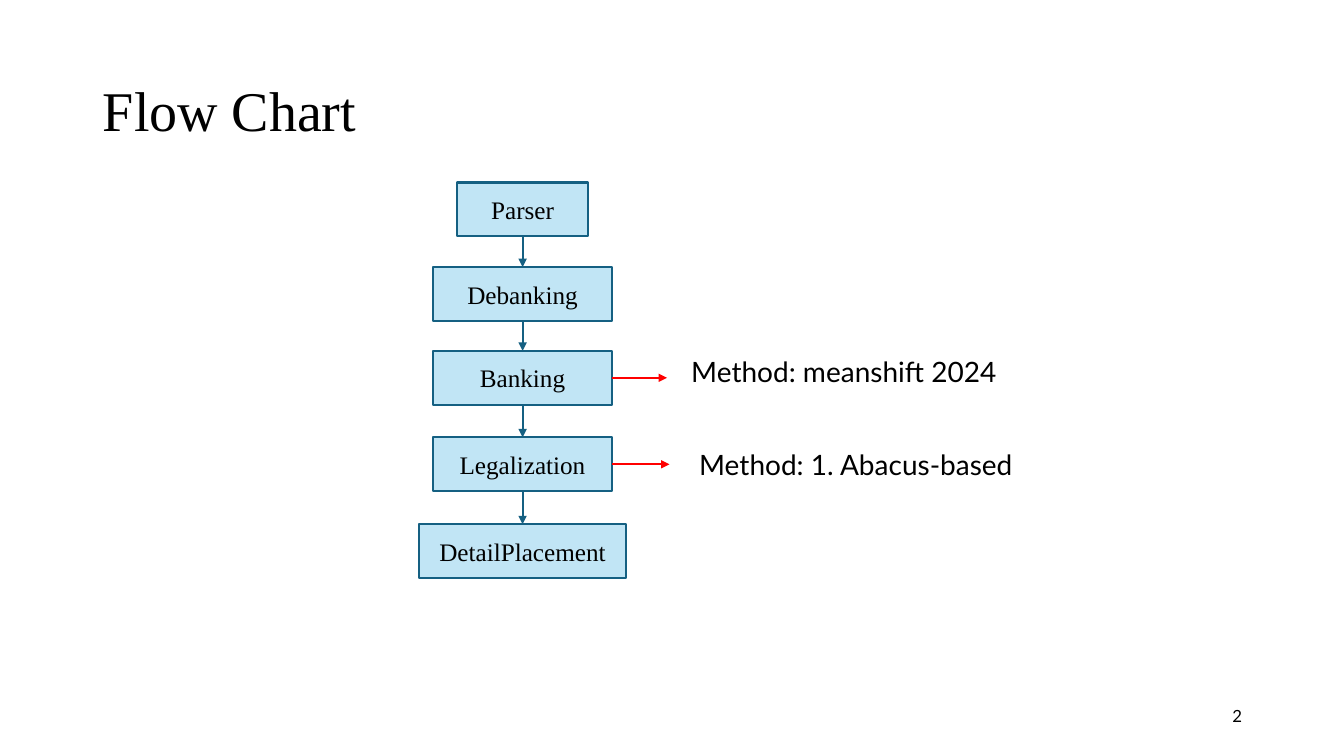
from lxml import etree
from pptx import Presentation
from pptx.dml.color import RGBColor
from pptx.enum.shapes import MSO_CONNECTOR, MSO_SHAPE
from pptx.enum.text import MSO_ANCHOR, PP_ALIGN
from pptx.oxml.ns import qn
from pptx.util import Cm, Pt

BLACK = RGBColor(0x00, 0x00, 0x00)
PALE = RGBColor(0xC1, 0xE5, 0xF5)
TEAL = RGBColor(0x15, 0x60, 0x82)
RED = RGBColor(0xFF, 0x00, 0x00)

RECT = MSO_SHAPE.RECTANGLE
LINE = MSO_CONNECTOR.STRAIGHT
LEFT, MID, RIGHT = PP_ALIGN.LEFT, PP_ALIGN.CENTER, PP_ALIGN.RIGHT
TOP, CENTER = MSO_ANCHOR.TOP, MSO_ANCHOR.MIDDLE

HEAD = {"name": "Times New Roman", "size": Pt(40)}
STEP = {"name": "Times New Roman", "size": Pt(18)}
NOTE = {"name": "Lato", "size": Pt(20)}
PAGE = {"name": "Lato", "size": Pt(12)}

AXIS = 13.17
HIGH = 1.36
# label, top and width in cm
STEPS = [
    ("Parser", 4.6, 3.3),
    ("Debanking", 6.73, 4.5),
    ("Banking", 8.84, 4.5),
    ("Legalization", 11.02, 4.5),
    ("DetailPlacement", 13.21, 5.23),
]
# step, arrow end, then text, left, top, width and height in cm
NOTES = [
    ("Banking", 16.81, "Method: meanshift 2024", 17.17, 8.81, 16.5, 1.12),
    ("Legalization", 16.87, "Method: 1. Abacus-based", 17.37, 11.15, 13.84, 1.12),
]


def write(shape, text, style, align, anchor):
    frame = shape.text_frame
    frame.word_wrap = True
    frame.vertical_anchor = anchor
    para = frame.paragraphs[0]
    para.alignment = align
    run = para.add_run()
    run.text = text
    for key, value in style.items():
        setattr(run.font, key, value)
    run.font.color.rgb = BLACK
    return para


def add_title(slide, text):
    title = slide.shapes.title
    title.left, title.top = Cm(2.34), Cm(1.02)
    title.width, title.height = Cm(29.21), Cm(3.68)
    write(title, text, HEAD, LEFT, CENTER).line_spacing = 0.9


def add_text(slide, text, place, style, align, anchor):
    box = slide.shapes.add_textbox(*map(Cm, place))
    write(box, text, style, align, anchor)


def add_step(slide, text, top, width):
    """Add a box centred on the axis of the chart."""
    place = (AXIS - width / 2, top, width, HIGH)
    box = slide.shapes.add_shape(RECT, *map(Cm, place))
    box.shadow.inherit = False
    box.fill.solid()
    box.fill.fore_color.rgb = PALE
    box.line.color.rgb = TEAL
    box.line.width = Pt(1.5)
    write(box, text, STEP, MID, CENTER)
    return box


def add_arrow(slide, start, side, end, color):
    """Add an arrow from one side of a box to a point."""
    arrow = slide.shapes.add_connector(LINE, 0, 0, *end)
    arrow.begin_connect(start, side)
    arrow.line.color.rgb = color
    arrow.line.width = Pt(1.5)
    line = arrow.line._get_or_add_ln()
    etree.SubElement(line, qn("a:tailEnd"), type="triangle")
    etree.SubElement(arrow._element.spPr, qn("a:effectLst"))
    return arrow


def main():
    prs = Presentation()
    prs.slide_width, prs.slide_height = Cm(33.87), Cm(19.05)
    slide = prs.slides.add_slide(prs.slide_layouts[5])

    add_title(slide, "Flow Chart")
    add_text(slide, "2", (23.93, 17.53, 7.62, 1.02), PAGE, RIGHT, CENTER)

    boxes = {step[0]: add_step(slide, *step) for step in STEPS}
    chain = list(boxes.values())
    for upper, lower in zip(chain, chain[1:]):
        end = (Cm(AXIS), lower.top)
        add_arrow(slide, upper, 2, end, TEAL).end_connect(lower, 0)

    for name, tip, text, *place in NOTES:
        box = boxes[name]
        add_arrow(slide, box, 3, (Cm(tip), box.top + box.height // 2), RED)
        add_text(slide, text, place, NOTE, LEFT, TOP)

    prs.save("out.pptx")


if __name__ == "__main__":
    main()
